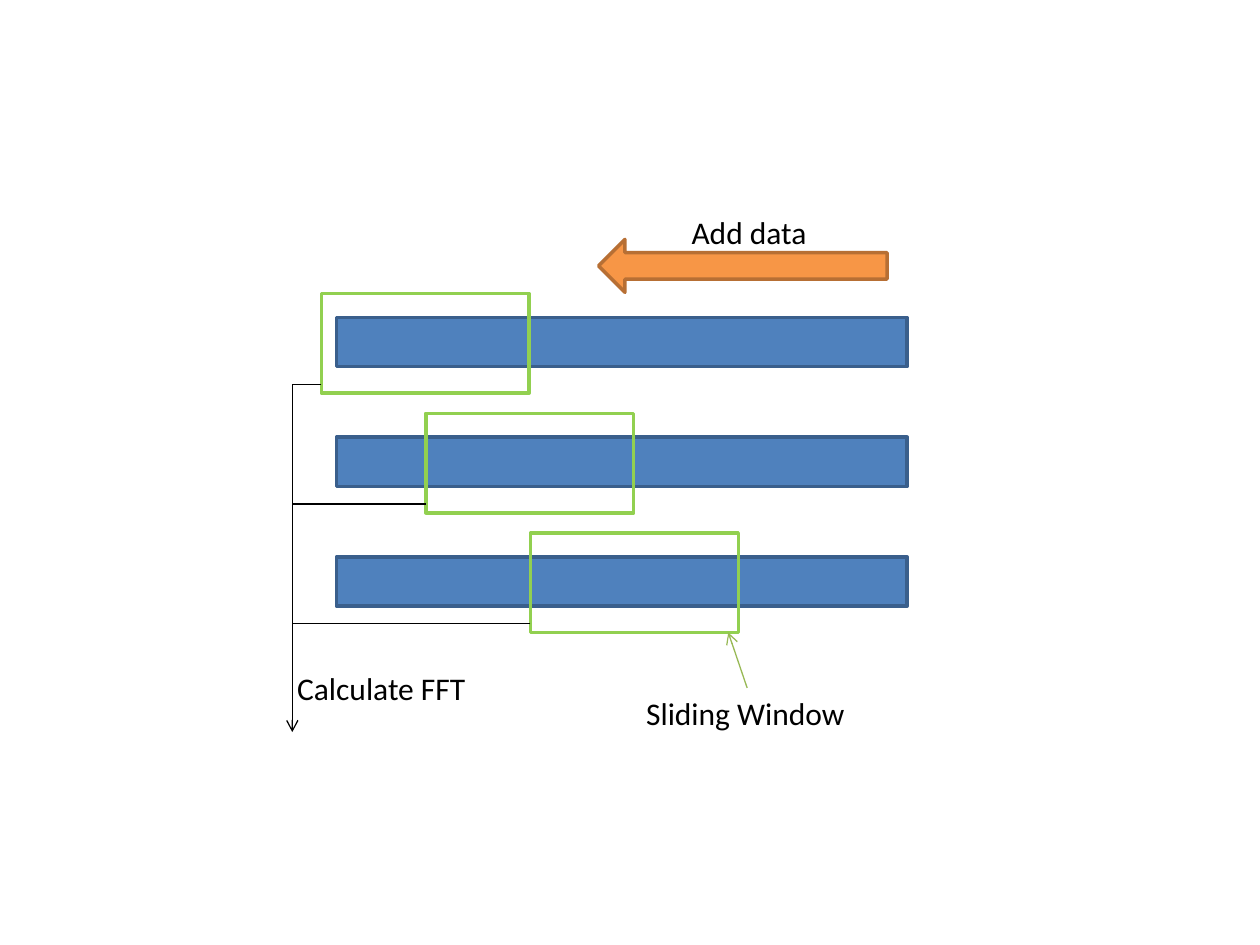
from lxml import etree
from pptx import Presentation
from pptx.dml.color import RGBColor
from pptx.enum.shapes import MSO_CONNECTOR, MSO_SHAPE
from pptx.enum.text import MSO_AUTO_SIZE
from pptx.oxml.ns import qn
from pptx.util import Emu, Pt

RECT = MSO_SHAPE.RECTANGLE
ARROW = MSO_SHAPE.LEFT_ARROW
LINE = MSO_CONNECTOR.STRAIGHT
GROW = MSO_AUTO_SIZE.SHAPE_TO_FIT_TEXT

BLACK = RGBColor(0x00, 0x00, 0x00)
BLUE = RGBColor(0x4F, 0x81, 0xBD)
NAVY = RGBColor(0x3A, 0x5F, 0x8C)
LIME = RGBColor(0x92, 0xD0, 0x50)
OLIVE = RGBColor(0x98, 0xB9, 0x55)
ORANGE = RGBColor(0xF7, 0x96, 0x46)
BROWN = RGBColor(0xB7, 0x6F, 0x34)

SCALE = 9144
ROWS = 3
STEP_X, STEP_Y = 83, 95
FONT = {"name": "Calibri", "size": Pt(18)}


def px(*sizes):
    """Turn px lengths into EMU."""
    return [Emu(size * SCALE) for size in sizes]


def add_block(shapes, kind, box, edge, fill=None):
    """Draw an outlined preset shape, filled if a colour is given."""
    block = shapes.add_shape(kind, *px(*box))
    block.shadow.inherit = False
    if fill is None:
        block.fill.background()
    else:
        block.fill.solid()
        block.fill.fore_color.rgb = fill
    block.line.color.rgb = edge
    block.line.width = Pt(2)


def add_line(shapes, start, end, color=BLACK, head=False):
    """Draw a thin line, with an arrowhead at its end if asked."""
    line = shapes.add_connector(LINE, *px(*start, *end))
    line.line.color.rgb = color
    line.line.width = Pt(0.75)
    if head:
        tip = etree.SubElement(line.line._get_or_add_ln(), qn("a:tailEnd"))
        tip.set("type", "arrow")
    etree.SubElement(line._element.spPr, qn("a:effectLst"))


def add_label(shapes, text, box):
    """Write a one-line label."""
    frame = shapes.add_textbox(*px(*box)).text_frame
    frame.word_wrap = False
    frame.auto_size = GROW
    run = frame.paragraphs[0].add_run()
    run.text = text
    for key, value in FONT.items():
        setattr(run.font, key, value)
    run.font.color.rgb = BLACK


def add_rows(shapes, x, y):
    """Draw the data bars, each with its window one step further on."""
    for row in range(ROWS):
        top = y + row * STEP_Y
        add_block(shapes, RECT, (x + 12, top + 19, 453, 39), NAVY, BLUE)
        add_block(shapes, RECT, (x + row * STEP_X, top, 165, 79), LIME)


def add_input(shapes, x, y):
    """Draw the arrow of incoming data under its label."""
    add_block(shapes, ARROW, (x, y + 26, 229, 42), BROWN, ORANGE)
    add_label(shapes, "Add data", (x + 64, y, 113, 40))


def add_output(shapes, x, y):
    """Draw the lines from the windows into the downward arrow."""
    for row in range(ROWS):
        level = y + row * STEP_Y
        add_line(shapes, (x + 23 + row * STEP_X, level), (x, level))
    add_line(shapes, (x, y), (x, y + 276), head=True)
    add_label(shapes, "Calculate FFT", (x - 6, y + 221, 155, 40))


def add_note(shapes, x, y):
    """Point from the window label up to the last window."""
    add_line(shapes, (x + 90, y + 44), (x + 75, y), OLIVE, True)
    add_label(shapes, "Sliding Window", (x, y + 44, 180, 40))


def main():
    """Build and save the slide."""
    deck = Presentation()
    deck.slide_width, deck.slide_height = px(1000, 750)
    slide = deck.slides.add_slide(deck.slide_layouts[6])
    shapes = slide.shapes.add_group_shape().shapes
    add_rows(shapes, 255, 233)
    add_input(shapes, 475, 164)
    add_output(shapes, 232, 305)
    add_note(shapes, 503, 502)
    deck.save("out.pptx")


if __name__ == "__main__":
    main()
